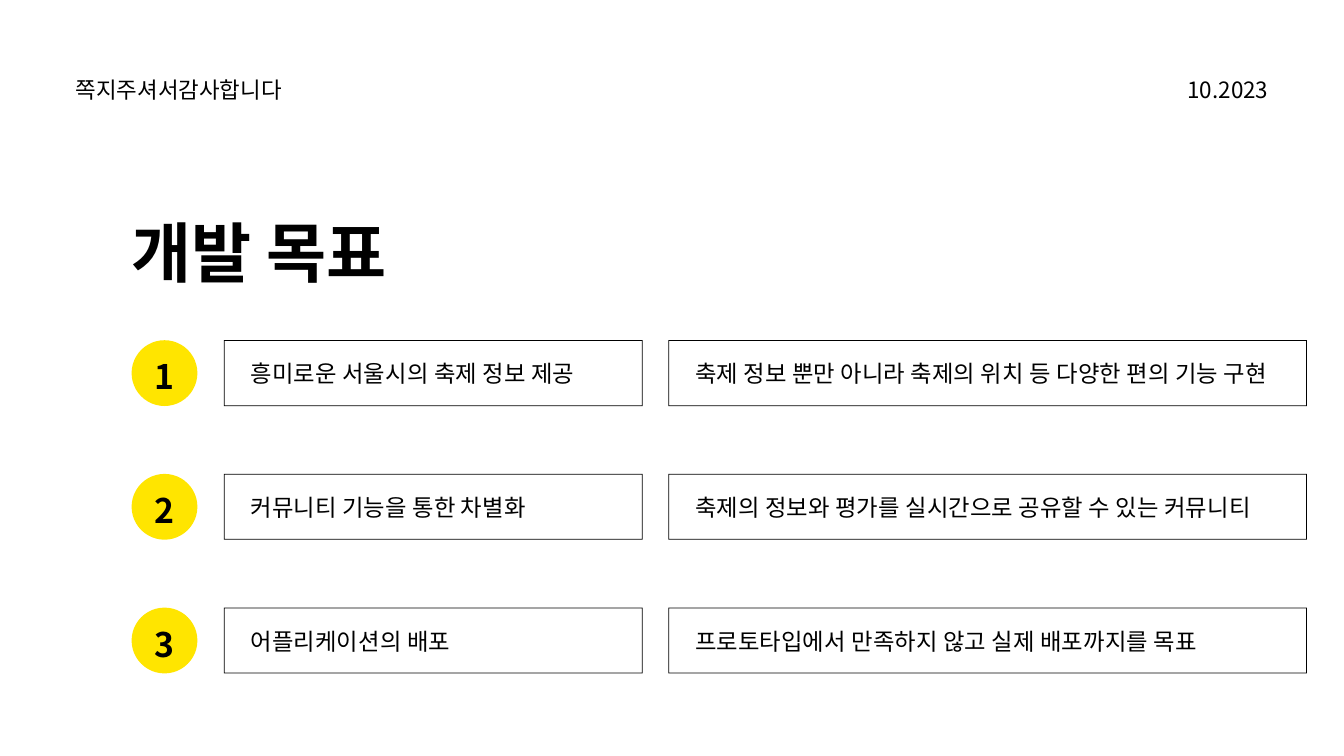
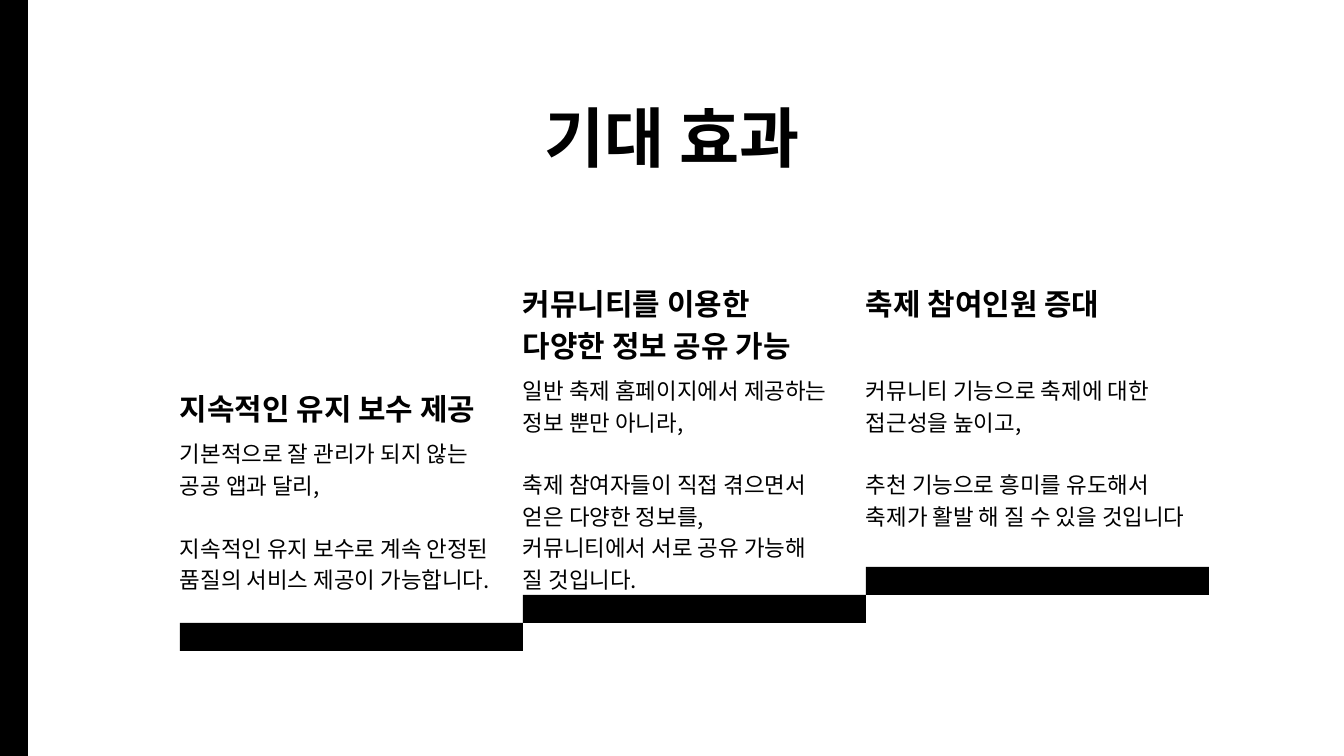
"""Builds two slides: development goals and expected effects."""
from pptx import Presentation
from pptx.dml.color import RGBColor
from pptx.enum.shapes import MSO_SHAPE as Shape
from pptx.enum.text import MSO_ANCHOR as Anchor, MSO_AUTO_SIZE as Fit, PP_ALIGN as Align
from pptx.util import Pt
from lxml.etree import SubElement
from pptx.oxml.ns import qn

PX = 9525
FONT = "Noto Sans CJK KR"
BLACK = RGBColor(0x00, 0x00, 0x00)
YELLOW = RGBColor(0xFF, 0xE5, 0x00)


def write(slide, spot, lines, size, lead, bold=False, align=Align.LEFT, track=0, title=False):
    box = slide.shapes.title if title else slide.shapes.add_textbox(0, 0, 0, 0)
    box.left, box.top, box.width, box.height = [n * PX for n in spot]
    frame = box.text_frame
    frame.margin_left = frame.margin_top = frame.margin_right = frame.margin_bottom = 0
    frame.word_wrap = True
    frame.auto_size = Fit.NONE
    frame.vertical_anchor = Anchor.TOP
    gap = False
    first = True
    for line in lines:
        if line is None:
            gap = True
            continue
        para = frame.paragraphs[0] if first else frame.add_paragraph()
        para.alignment = align
        para.line_spacing = Pt(lead)
        para.space_before = Pt(lead if gap else 0)
        run = para.add_run()
        run.text = line
        font = run.font
        font.name, font.size, font.bold = FONT, Pt(size), bold
        font.color.rgb = BLACK
        props = run._r.get_or_add_rPr()
        SubElement(props, qn("a:ea")).set("typeface", FONT)
        if track:
            props.set("spc", str(track))
        first = gap = False


def draw(slide, kind, spot, fill):
    shape = slide.shapes.add_shape(kind, *[n * PX for n in spot])
    shape.shadow.inherit = False
    shape.fill.solid()
    shape.fill.fore_color.rgb = fill
    shape.line.fill.background()
    return shape


deck = Presentation()
deck.slide_width, deck.slide_height = 1920 * PX, 1080 * PX
layout = deck.slide_layouts[5]

goals = deck.slides.add_slide(layout)
write(goals, (1399, 108, 413, 38), ["10.2023"], 24, 28.8, align=Align.RIGHT)
write(goals, (108, 108, 413, 38), ["쪽지주셔서감사합니다"], 24, 28.8)
write(goals, (188, 313, 908, 106), ["개발 목표"], 70, 77, bold=True, title=True)

rows = [
    ("흥미로운 서울시의 축제 정보 제공", "축제 정보 뿐만 아니라 축제의 위치 등 다양한 편의 기능 구현"),
    ("커뮤니티 기능을 통한 차별화", "축제의 정보와 평가를 실시간으로 공유할 수 있는 커뮤니티"),
    ("어플리케이션의 배포", "프로토타입에서 만족하지 않고 실제 배포까지를 목표"),
]
cols = [(320, 598), (955, 912)]
side = 94
for num, row in enumerate(rows):
    top = 486 + 191 * num
    draw(goals, Shape.OVAL, (188, top, side, side), YELLOW)
    write(goals, (207, top + 13, 56, 63), [str(num + 1)], 36.2, 50.7, bold=True, align=Align.CENTER)
    for (left, wide), text in zip(cols, row):
        edge = draw(goals, Shape.FRAME, (left, top, wide, side), BLACK)
        edge.adjustments[0] = 1 / side
        write(goals, (left + 38, top + 21, wide - 70, 43), [text], 25, 35, track=20)

hopes = deck.slides.add_slide(layout)
draw(hopes, Shape.RECTANGLE, (0, 0, 40, 1080), BLACK)
write(hopes, (377, 157, 1166, 98), ["기대 효과"], 70, 70, bold=True, align=Align.CENTER, title=True)

steps = [
    (549, 623, 448, ["지속적인 유지 보수 제공"],
     ["기본적으로 잘 관리가 되지 않는 공공 앱과 달리,", None,
      "지속적인 유지 보수로 계속 안정된 품질의 서비스 제공이 가능합니다."]),
    (400, 533, 439, ["커뮤니티를 이용한", "다양한 정보 공유 가능"],
     ["일반 축제 홈페이지에서 제공하는 정보 뿐만 아니라,", None,
      "축제 참여자들이 직접 겪으면서 얻은 다양한 정보를, 커뮤니티에서 서로 공유 가능해 질 것입니다."]),
    (399, 533, 490, ["축제 참여인원 증대"],
     ["커뮤니티 기능으로 축제에 대한", "접근성을 높이고,", None,
      "추천 기능으로 흥미를 유도해서", "축제가 활발 해 질 수 있을 것입니다"]),
]
for num, (top, low, wide, head, body) in enumerate(steps):
    left = 257 + 490 * num
    draw(hopes, Shape.RECTANGLE, (left, 890 - 40 * num, 490, 40), BLACK)
    write(hopes, (left, top, wide, 56 * len(head)), head, 32, 44.8, bold=True)
    write(hopes, (left, low, wide, 226), body, 24, 33.6)

deck.save("out.pptx")
